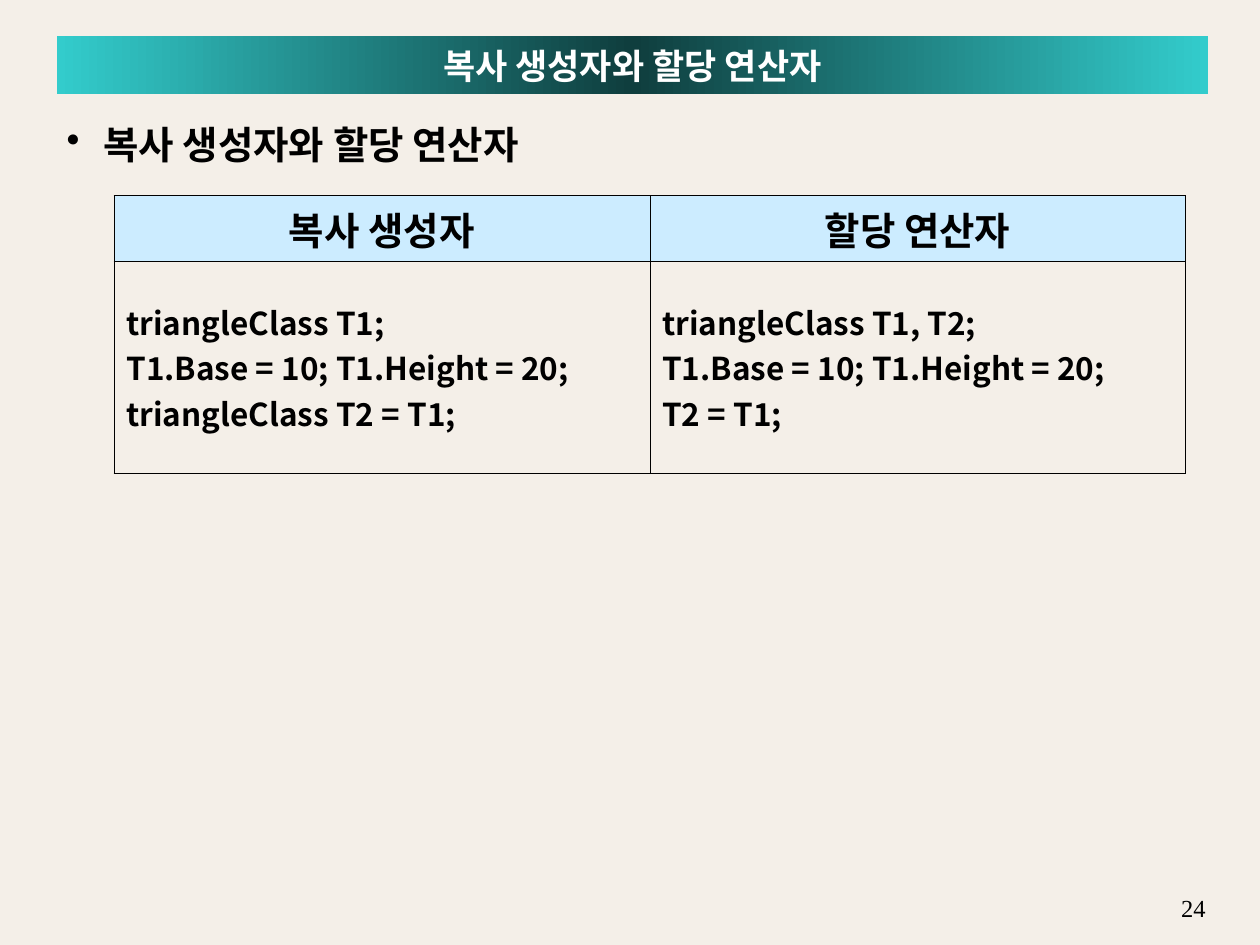
from copy import deepcopy

from lxml import etree
from pptx import Presentation
from pptx.dml.color import RGBColor
from pptx.enum import shapes, text
from pptx.oxml.ns import qn
from pptx.util import Pt

PAPER = RGBColor(0xF4, 0xEF, 0xE8)
BLACK = RGBColor(0, 0, 0)
WHITE = RGBColor(255, 255, 255)
TEAL = RGBColor(0x33, 0xCC, 0xCC)
DARK = RGBColor(0x0F, 0x3E, 0x3E)
SKY = RGBColor(0xCC, 0xEC, 0xFF)
SANS = "Noto Sans CJK KR"
SERIF = "Times New Roman"
ALIGN = text.PP_ALIGN
MIDDLE = text.MSO_ANCHOR.MIDDLE

TITLE = "복사 생성자와 할당 연산자"
HEADS = ["복사 생성자", "할당 연산자"]
CODES = [
    ["triangleClass T1;", "T1.Base = 10; T1.Height = 20;", "triangleClass T2 = T1;"],
    ["triangleClass T1, T2;", "T1.Base = 10; T1.Height = 20;", "T2 = T1;"],
]


def style(par, size, color=BLACK, bold=True, face=SANS, align=ALIGN.LEFT):
    par.alignment = align
    font = par.font
    font.size, font.bold, font.name = Pt(size), bold, face
    font.color.rgb = color
    # Korean letters take the East Asian face
    props = par._p.pPr.find(qn("a:defRPr"))
    etree.SubElement(props, qn("a:ea")).set("typeface", SANS)


def add_text(slide, box, words):
    frame = slide.shapes.add_textbox(*map(Pt, box)).text_frame
    frame.word_wrap = True
    frame.text = words
    return frame.paragraphs[0]


def add_title(slide, box):
    bar = slide.shapes.add_shape(shapes.MSO_SHAPE.RECTANGLE, *map(Pt, box))
    bar.shadow.inherit = False
    bar.line.fill.background()
    # Teal at both ends, dark in the middle
    bar.fill.gradient()
    bar.fill.gradient_angle = 0
    stops = bar.fill.gradient_stops
    first = stops[0]._gs
    first.addnext(deepcopy(first))
    for stop, place, color in zip(bar.fill.gradient_stops, (0, 0.5, 1), (TEAL, DARK, TEAL)):
        stop.position = place
        stop.color.rgb = color
    frame = bar.text_frame
    frame.vertical_anchor = MIDDLE
    frame.text = TITLE
    style(frame.paragraphs[0], 20, WHITE, align=ALIGN.CENTER)


def add_bullet(slide, box):
    par = add_text(slide, box, TITLE)
    props = par._p.get_or_add_pPr()
    props.set("marL", str(Pt(21)))
    props.set("indent", str(Pt(-21)))
    etree.SubElement(props, qn("a:buChar")).set("char", "•")
    style(par, 22)


def add_border(cell):
    props = cell._tc.get_or_add_tcPr()
    for n, side in enumerate(("lnL", "lnR", "lnT", "lnB")):
        line = etree.Element(qn("a:" + side), w=str(Pt(0.06)))
        fill = etree.SubElement(line, qn("a:solidFill"))
        etree.SubElement(fill, qn("a:srgbClr")).set("val", str(BLACK))
        props.insert(n, line)


def add_grid(slide, box):
    table = slide.shapes.add_table(2, len(HEADS), *map(Pt, box)).table
    table.horz_banding = table.first_row = False
    for row, height in zip(table.rows, (37.5, box[3] - 37.5)):
        row.height = Pt(height)
    for c, (head, code) in enumerate(zip(HEADS, CODES)):
        table.columns[c].width = Pt(box[2] / len(HEADS))
        top, low = table.cell(0, c), table.cell(1, c)
        top.fill.solid()
        top.fill.fore_color.rgb = SKY
        low.fill.background()
        top.text, low.text = head, "\n".join(code)
        style(top.text_frame.paragraphs[0], 22, face=SERIF, align=ALIGN.CENTER)
        for par in low.text_frame.paragraphs:
            style(par, 18, align=ALIGN.JUSTIFY)
        for cell in (top, low):
            cell.vertical_anchor = MIDDLE
            add_border(cell)


def add_number(slide, box):
    par = add_text(slide, box, "24")
    style(par, 14, bold=False, face=SERIF, align=ALIGN.RIGHT)


def main():
    deck = Presentation()
    deck.slide_width, deck.slide_height = Pt(720), Pt(540)
    slide = deck.slides.add_slide(deck.slide_layouts[6])
    slide.background.fill.solid()
    slide.background.fill.fore_color.rgb = PAPER
    add_number(slide, (666, 507, 30, 12))
    add_bullet(slide, (31, 65.5, 652, 442))
    add_title(slide, (32.4, 20.4, 658, 33.5))
    add_grid(slide, (65, 111.5, 612.5, 159))
    deck.save("out.pptx")


if __name__ == "__main__":
    main()
